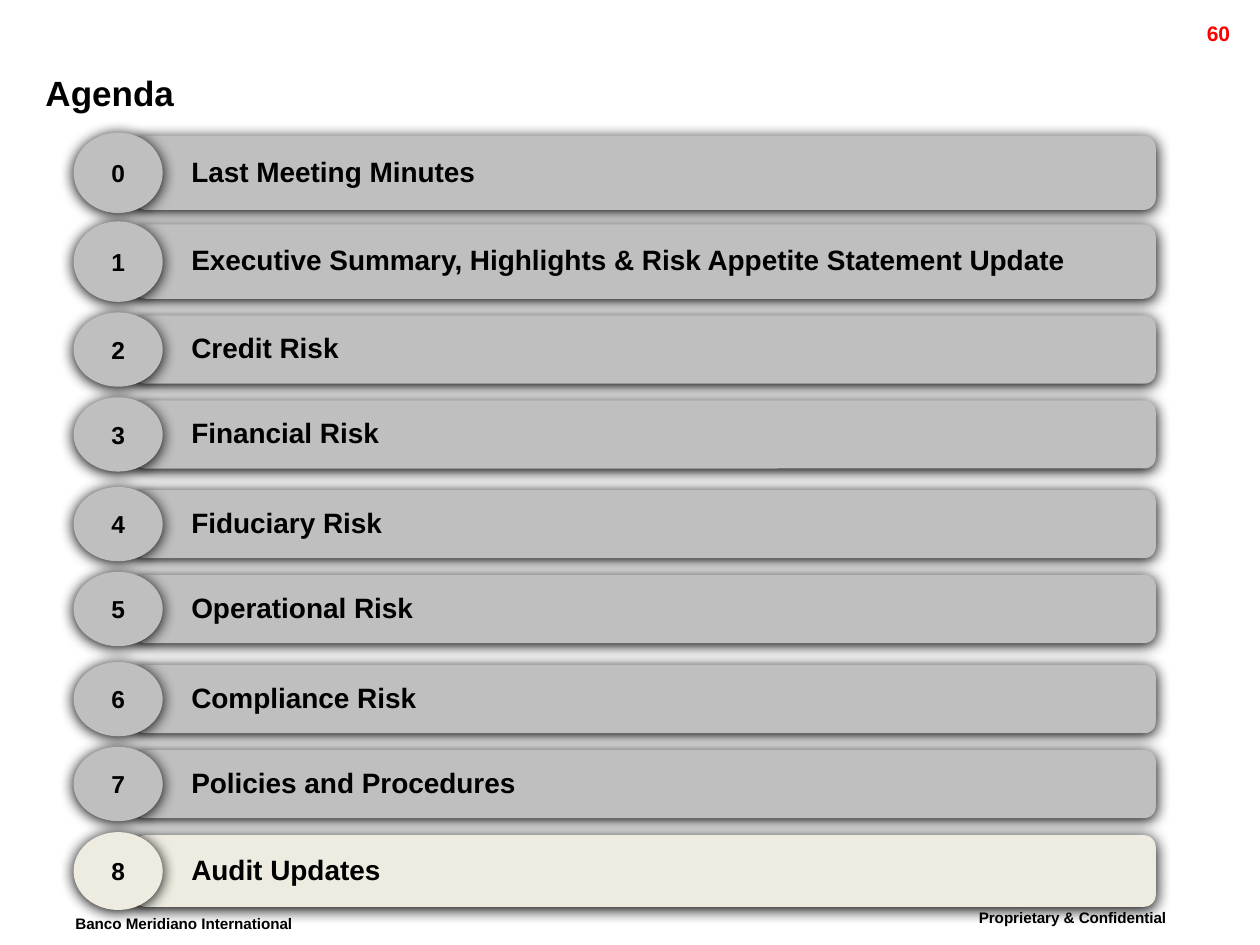
from lxml import etree
from pptx import Presentation
from pptx.dml.color import RGBColor
from pptx.enum import shapes, text
from pptx.oxml import ns
from pptx.util import Pt

GREY, CREAM, BLACK, RED = "BFBFBF", "EEECE1", "000000", "FF0000"
MIDDLE = text.MSO_ANCHOR.MIDDLE
CENTER, RIGHT = text.PP_ALIGN.CENTER, text.PP_ALIGN.RIGHT
GROW = text.MSO_AUTO_SIZE.SHAPE_TO_FIT_TEXT

# label, bar top, bar height, fill
AGENDA = [
    ("Last Meeting Minutes", 77.5, 42.5, GREY),
    ("Executive Summary, Highlights & Risk Appetite Statement Update", 128.25, 42.5, GREY),
    ("Credit Risk", 180.25, 39, GREY),
    ("Financial Risk", 228.75, 39, GREY),
    ("Fiduciary Risk", 280, 39, GREY),
    ("Operational Risk", 328.5, 39, GREY),
    ("Compliance Risk", 380, 39, GREY),
    ("Policies and Procedures", 428.5, 39, GREY),
    ("Audit Updates", 477.25, 41, CREAM),
]


def color(value):
    return RGBColor.from_string(value)


def add_shadow(sp):
    """Give the shape a soft black shadow just below it."""
    sp.shadow.inherit = False
    effects = sp._element.spPr.find(ns.qn("a:effectLst"))
    shadow = etree.SubElement(effects, ns.qn("a:outerShdw"), blurRad=str(Pt(8.5)),
                              dist=str(Pt(1)), dir="5400000", algn="ctr", rotWithShape="0")
    etree.SubElement(shadow, ns.qn("a:srgbClr"), val=BLACK)


def add_filled(parent, kind, box, fill):
    sp = parent.add_shape(kind, *map(Pt, box))
    sp.fill.solid()
    sp.fill.fore_color.rgb = color(fill)
    sp.line.fill.background()
    add_shadow(sp)


def add_text(parent, box, words, size, font_color=BLACK, align=None, raised=False, **frame):
    tf = parent.add_textbox(*map(Pt, box)).text_frame
    for name, value in {"word_wrap": True, **frame}.items():
        setattr(tf, name, value)
    p = tf.paragraphs[0]
    if align is not None:
        p.alignment = align
    r = p.add_run()
    r.text = words
    for name, value in {"name": "Arial", "size": Pt(size), "bold": True}.items():
        setattr(r.font, name, value)
    r.font.color.rgb = color(font_color)
    if raised:
        r._r.get_or_add_rPr().set("baseline", "30000")


def add_agenda_item(slide, number, label, top, height, fill):
    group = slide.shapes.add_group_shape().shapes
    add_filled(group, shapes.MSO_SHAPE.ROUNDED_RECTANGLE, (76.5, top, 584, height), fill)
    add_text(group, (102.25, top + 1, 579.5, height - 4.25), label, 16, vertical_anchor=MIDDLE)
    add_filled(group, shapes.MSO_SHAPE.OVAL, (42, top - 1.75, 51, height + 3.5), fill)
    add_text(group, (47.75, top + height / 2 - 11.5, 39.5, 23), str(number), 14, align=CENTER,
             vertical_anchor=MIDDLE, auto_size=GROW)


def main():
    prs = Presentation()
    prs.slide_width, prs.slide_height = Pt(720), Pt(540)
    slide = prs.slides.add_slide(prs.slide_layouts[6])
    add_text(slide.shapes, (552.25, 513.5, 157, 25), "Proprietary & Confidential", 15,
             raised=True, auto_size=GROW)
    add_text(slide.shapes, (36, 517, 160.5, 25), "Banco Meridiano International", 15,
             raised=True, auto_size=GROW, word_wrap=False)
    add_text(slide.shapes, (641.5, 8, 68.5, 17.25), "60", 12, RED, RIGHT)
    add_text(slide.shapes, (26, 35.5, 649.5, 34.5), "Agenda", 20, vertical_anchor=MIDDLE,
             margin_left=0, margin_top=0, margin_right=0, margin_bottom=0)
    for number, item in enumerate(AGENDA):
        add_agenda_item(slide, number, *item)
    prs.save("out.pptx")


if __name__ == "__main__":
    main()
